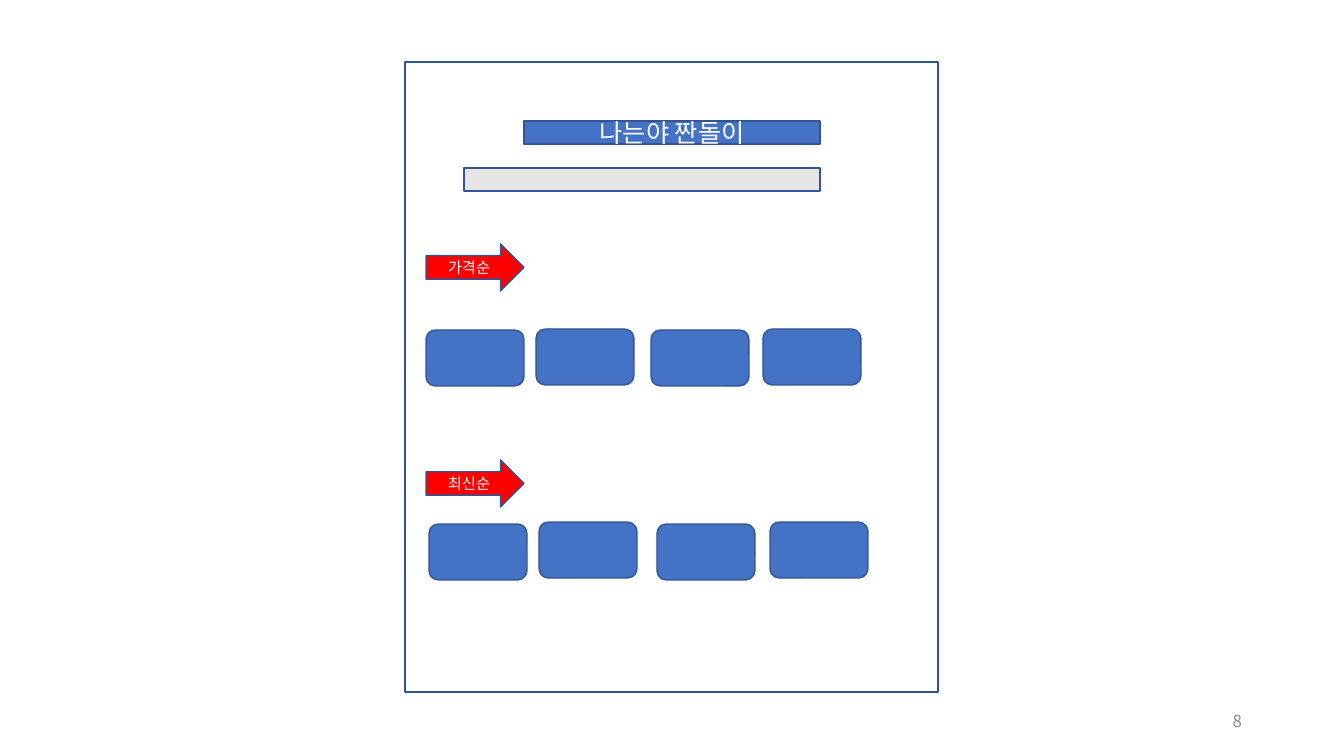
from dataclasses import dataclass

from lxml import etree
from pptx import Presentation
from pptx.dml.color import RGBColor
from pptx.enum.shapes import MSO_SHAPE
from pptx.enum.text import MSO_ANCHOR, MSO_AUTO_SIZE, PP_ALIGN
from pptx.oxml.ns import qn
from pptx.util import Emu, Pt

RECTANGLE = MSO_SHAPE.RECTANGLE
ROUNDED = MSO_SHAPE.ROUNDED_RECTANGLE
ARROW = MSO_SHAPE.RIGHT_ARROW
MIDDLE = MSO_ANCHOR.MIDDLE
NO_AUTOFIT = MSO_AUTO_SIZE.NONE
CENTER = PP_ALIGN.CENTER
RIGHT = PP_ALIGN.RIGHT
TITLE_ONLY = 5
EMU_PER_PX = 914400 / 100.8


@dataclass(frozen=True)
class Theme:
    font: str = "Noto Sans CJK KR"
    white: str = "FFFFFF"
    blue: str = "4472C4"
    outline: str = "325491"
    search: str = "E7E6E6"
    arrow: str = "FF0000"
    muted: str = "8C8C8C"
    title_size: int = 18
    label_size: int = 11
    number_size: int = 12
    line_width: int = 1


def px(value):
    return Emu(round(value * EMU_PER_PX))


class SlideBuilder:
    def __init__(self, presentation, theme):
        self.theme = theme
        self.slide = presentation.slides.add_slide(presentation.slide_layouts[TITLE_ONLY])

    def paint(self, shape, fill):
        shape.fill.solid()
        shape.fill.fore_color.rgb = RGBColor.from_string(fill)
        shape.line.color.rgb = RGBColor.from_string(self.theme.outline)
        shape.line.width = Pt(self.theme.line_width)

    def set_text(self, shape, text, size, color, alignment=CENTER):
        frame = shape.text_frame
        frame.text = text
        frame.word_wrap = True
        frame.auto_size = NO_AUTOFIT
        frame.vertical_anchor = MIDDLE
        paragraph = frame.paragraphs[0]
        paragraph.alignment = alignment
        font = paragraph.runs[0].font
        font.name = self.theme.font
        font.size = Pt(size)
        font.color.rgb = RGBColor.from_string(color)
        properties = paragraph.runs[0]._r.get_or_add_rPr()
        etree.SubElement(properties, qn("a:ea")).set("typeface", self.theme.font)

    def box(self, kind, left, top, width, height, fill):
        shape = self.slide.shapes.add_shape(kind, px(left), px(top), px(width), px(height))
        shape.shadow.inherit = False
        self.paint(shape, fill)
        return shape

    def title(self, text, left, top, width, height):
        title = self.slide.shapes.title
        title.left, title.top = px(left), px(top)
        title.width, title.height = px(width), px(height)
        self.paint(title, self.theme.blue)
        self.set_text(title, text, self.theme.title_size, self.theme.white)
        self.slide.shapes._spTree.append(title._element)

    def arrow(self, text, left, top, width, height):
        arrow = self.box(ARROW, left, top, width, height, self.theme.arrow)
        self.set_text(arrow, text, self.theme.label_size, self.theme.white)

    def cards(self, positions, width, height):
        for left, top in positions:
            self.box(ROUNDED, left, top, width, height, self.theme.blue)

    def page_number(self, text, left, top, width, height):
        number = self.slide.shapes.add_textbox(px(left), px(top), px(width), px(height))
        self.set_text(number, text, self.theme.number_size, self.theme.muted, RIGHT)


def main():
    presentation = Presentation()
    presentation.slide_width = px(1344)
    presentation.slide_height = px(756)
    theme = Theme()
    builder = SlideBuilder(presentation, theme)

    builder.box(RECTANGLE, 405, 62, 533, 630, theme.white)
    builder.box(RECTANGLE, 464, 168, 356, 23, theme.search)
    builder.title("나는야 짠돌이", 524, 121, 296, 23)

    sections = [
        ("가격순", 244, [(426, 330), (536, 329), (651, 330), (763, 329)]),
        ("최신순", 460, [(429, 524), (539, 522), (657, 524), (770, 522)]),
    ]
    for label, arrow_top, card_positions in sections:
        builder.arrow(label, 426, arrow_top, 98, 47)
        builder.cards(card_positions, 98, 56)

    builder.page_number("8", 950, 701, 302, 40)
    presentation.save("out.pptx")


if __name__ == "__main__":
    main()
